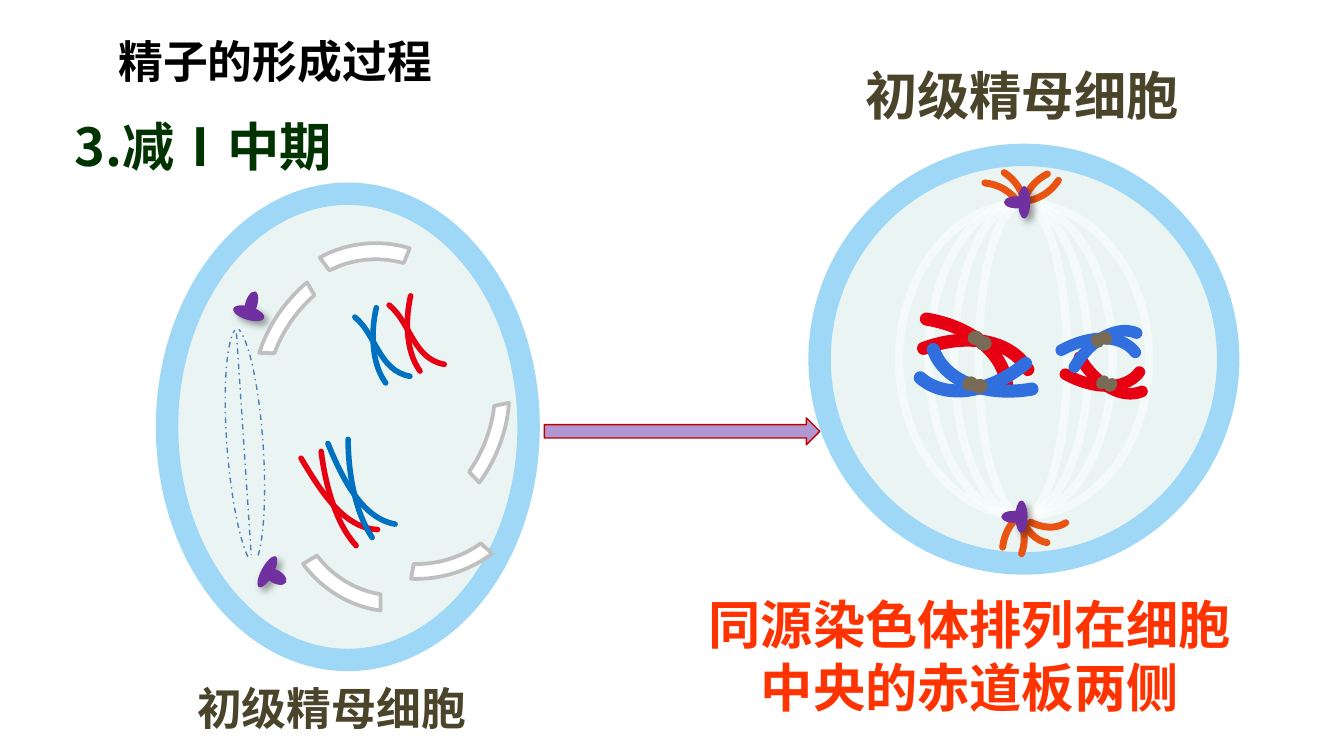
from dataclasses import dataclass

from lxml.etree import SubElement
from pptx import Presentation
from pptx.dml.color import RGBColor
from pptx.enum.dml import MSO_LINE
from pptx.enum.shapes import MSO_CONNECTOR, MSO_SHAPE
from pptx.enum.text import MSO_ANCHOR, PP_ALIGN
from pptx.oxml.ns import qn
from pptx.util import Pt

FONT = "Noto Sans CJK SC"
HEX = {
    "black": "000000", "green": "003300", "olive": "4A452A", "orange": "FF3300",
    "plasm": "EAF5F3", "rim": "9ED8F6", "white": "FFFFFF", "gray": "BFBFBF",
    "red": "E60012", "navy": "0070C0", "blue": "326FDE", "steel": "4B7EBC",
    "purple": "7030A0", "brown": "796A55", "aster": "EA5413",
    "lilac": "B197D2", "crimson": "C00000",
}
LONG = (173.63, 0)
SHORT = (165.26, 196.34)
THREAD = (110.96, 214.63)
BAND = (139.99, 175.17, 0.09)


@dataclass
class Box:
    x: float
    y: float
    w: float
    h: float
    turn: float = 0
    flip: str = ""


@dataclass
class Pen:
    color: str
    width: float
    round: bool = False
    dash: bool = False
    alpha: int = 100


@dataclass
class Label:
    text: str
    box: Box
    size: int
    color: str
    align: PP_ALIGN = PP_ALIGN.LEFT


@dataclass
class Pair:
    """One crossed chromosome: two arms and the dots where they meet."""
    pen: Pen
    arms: list[Box]
    dots: list[Box]


def rgb(name: str) -> RGBColor:
    return RGBColor.from_string(HEX[name])


def ink(shape, pen: Pen) -> None:
    line = shape.line
    line.color.rgb = rgb(pen.color)
    line.width = Pt(pen.width)
    if pen.dash:
        line.dash_style = MSO_LINE.DASH_DOT
    ln = line._get_or_add_ln()
    if pen.round:
        ln.set("cap", "rnd")
    if pen.alpha < 100:
        tint = ln.find(".//" + qn("a:srgbClr"))
        SubElement(tint, qn("a:alpha")).set("val", str(pen.alpha * 1000))


def draw(parent, kind: MSO_SHAPE, box: Box, fill: str = "", pen: Pen | None = None, adj: tuple = ()):
    shape = parent.shapes.add_shape(kind, Pt(box.x), Pt(box.y), Pt(box.w), Pt(box.h))
    shape.shadow.inherit = False
    shape.rotation = box.turn
    for axis in box.flip:
        shape.element.spPr.xfrm.set("flip" + axis, "1")
    for i, value in enumerate(adj):
        shape.adjustments[i] = value
    if fill:
        shape.fill.solid()
        shape.fill.fore_color.rgb = rgb(fill)
    else:
        shape.fill.background()
    if pen:
        ink(shape, pen)
    else:
        shape.line.fill.background()
    return shape


def curve(parent, pts: list[tuple], pen: Pen) -> None:
    """Draw a cubic curve through its four control points."""
    start, *rest = [(Pt(x), Pt(y)) for x, y in pts]
    form = parent.shapes.build_freeform(*start)
    form.add_line_segments(rest, close=False)
    shape = form.convert_to_shape()
    track = shape.element.find(".//" + qn("a:path"))
    lines = track.findall(qn("a:lnTo"))
    bend = SubElement(track, qn("a:cubicBezTo"))
    for line in lines:
        bend.append(line[0])
        track.remove(line)
    shape.shadow.inherit = False
    shape.fill.background()
    ink(shape, pen)


def centriole(parent, body: Box, side: Box) -> None:
    shape = draw(parent, MSO_SHAPE.OVAL, body, "purple")
    effects = shape.element.spPr.find(qn("a:effectLst"))
    shade = SubElement(effects, qn("a:outerShdw"), blurRad=str(Pt(4)), dist=str(Pt(3)), dir="2700000")
    tint = SubElement(shade, qn("a:srgbClr"), val=HEX["black"])
    SubElement(tint, qn("a:alpha"), val="40000")
    draw(parent, MSO_SHAPE.OVAL, side, "purple")


def write(shape, label: Label) -> None:
    box = label.box
    shape.left, shape.top, shape.width, shape.height = map(Pt, (box.x, box.y, box.w, box.h))
    frame = shape.text_frame
    frame.word_wrap = True
    frame.vertical_anchor = MSO_ANCHOR.TOP
    para = frame.paragraphs[0]
    para.text = label.text
    para.alignment = label.align
    para.line_spacing = Pt(label.size * 1.2)
    font = para.font
    font.size, font.bold, font.name = Pt(label.size), True, FONT
    font.color.rgb = rgb(label.color)
    SubElement(para._p.find(".//" + qn("a:defRPr")), qn("a:ea"), typeface=FONT)


def early(slide) -> None:
    """Cell on the left, before the chromosomes line up."""
    cell = slide.shapes.add_group_shape()
    draw(cell, MSO_SHAPE.OVAL, Box(89.5, 103.8, 193.7, 249.8), "plasm", Pen("rim", 12))
    small = [
        [(201.6, 164.9), (198.7, 177.1), (198.7, 194.4), (206.6, 205.2)],
        [(190.1, 169.9), (201.6, 179.3), (203, 198.7), (219.6, 201.6)],
    ]
    twin = [[(x + 18.4, y - 6.4) for x, y in arm] for arm in small]
    big_red = [
        [(202.3, 283.7), (184.3, 283), (172.1, 263.5), (161.3, 245.5)],
        [(172.1, 241.9), (174.2, 259.2), (180, 280.8), (190.8, 292.3)],
    ]
    big_blue = [
        [(211.7, 280.8), (194.4, 277.9), (183.6, 257), (175.7, 237.6)],
        [(186.5, 235.4), (186.5, 252.7), (190.1, 274.3), (199.4, 288)],
    ]
    for color, arms in (("navy", small), ("red", big_red), ("navy", big_blue), ("red", twin)):
        for arm in arms:
            curve(cell, arm, Pen(color, 3, round=True))
    centriole(cell, Box(133.9, 303.1, 18.7, 6.5, 298.7), Box(141.1, 305.3, 13, 7.2, 208.7))
    centriole(cell, Box(124.6, 164.2, 17.3, 7.2, 196.6, "H"), Box(127.4, 159.8, 14.4, 6.5, 286.6, "H"))

    thread = Pen("steel", 0.75, dash=True)
    for box in (Box(68.4, 228.2, 129.6, 23, 265.5), Box(64.8, 228.2, 129.6, 23, 86.3, "H")):
        draw(cell, MSO_SHAPE.ARC, box, pen=thread, adj=THREAD)
    axis = cell.shapes.add_connector(MSO_CONNECTOR.STRAIGHT, Pt(126.7), Pt(178.6), Pt(134.6), Pt(297.4))
    ink(axis, thread)
    SubElement(axis.element.spPr, qn("a:effectLst"))

    for box in (
        Box(146.2, 130.3, 110.2, 95.8), Box(126, 146.9, 121.7, 87.1, 308.4),
        Box(149, 229, 110.2, 95.8, 217), Box(164.9, 182.2, 121.7, 87.1, 114.7),
        Box(172.8, 221, 110.2, 88.6, 167.8),
    ):
        draw(cell, MSO_SHAPE.BLOCK_ARC, box, "white", Pen("gray", 2), BAND)


def middle(slide) -> None:
    """Cell on the right, with the chromosomes on the equator."""
    cell = slide.shapes.add_group_shape()
    draw(cell, MSO_SHAPE.OVAL, Box(439.1, 83, 218.9, 218.9), "plasm", Pen("rim", 12))
    for left, wide in ((481.7, 133.9), (497.5, 98.6), (511.2, 72), (524.2, 47.5)):
        draw(cell, MSO_SHAPE.OVAL, Box(left, 108.7, wide, 167.8), pen=Pen("white", 4.5, alpha=50))

    for pair in (
        Pair(Pen("red", 7, True),
             [Box(427, 169.9, 112.3, 77), Box(445.7, 187.2, 112.3, 77, 330.4)],
             [Box(518.4, 177.1, 8.6, 7.9), Box(522.7, 180, 8.6, 7.9)]),
        Pair(Pen("blue", 7, True),
             [Box(496.8, 130.3, 112.3, 77, 340.8, "HV"), Box(473.8, 121.7, 112.3, 77, 311.2, "HV")],
             [Box(520.6, 203, 8.6, 7.9, 340.8, "HV"), Box(515.5, 201.6, 8.6, 7.9, 340.8, "HV")]),
        Pair(Pen("red", 6.25, True),
             [Box(539.3, 149.8, 79.2, 51.1, 37.3, "V"), Box(558.7, 150.5, 76.3, 48.2, 66.9, "V")],
             [Box(591.8, 202.3, 6.5, 7.9, 37.3, "V"), Box(587.5, 200.9, 6.5, 7.9, 37.3, "V")]),
        Pair(Pen("blue", 6.25, True),
             [Box(537.1, 187.2, 79.2, 51.1, 322.7), Box(555.8, 189.4, 76.3, 48.2, 293.1)],
             [Box(589, 177.1, 6.5, 7.9, 322.7), Box(584.6, 178.6, 6.5, 7.9, 322.7)]),
    ):
        for box in pair.arms:
            draw(cell, MSO_SHAPE.ARC, box, pen=pair.pen, adj=LONG)
        for box in pair.dots:
            draw(cell, MSO_SHAPE.OVAL, box, "brown")

    for box in (
        Box(500.4, 97.9, 49.7, 49.7), Box(521.3, 58.3, 49.7, 49.7, 0, "V"),
        Box(499.7, 88.6, 49.7, 49.7, 27.3), Box(547.2, 90.7, 49.7, 49.7, 339.4, "H"),
        Box(545.8, 244.1, 34.6, 46.8, 0, "HV"), Box(537.1, 270.7, 49.7, 49.7, 332.7, "H"),
        Box(499, 263.5, 49.7, 49.7, 52.4), Box(539.3, 238.3, 34.6, 46.8, 316.5, "HV"),
    ):
        draw(cell, MSO_SHAPE.ARC, box, pen=Pen("aster", 3.75, True), adj=SHORT)
    for x, y in ((540, 105.1), (538.6, 273.6)):
        centriole(cell, Box(x, y, 17.3, 6.5, 90, "H"), Box(x - 2.2, y, 13, 6.5, 180, "H"))


def main() -> None:
    deck = Presentation()
    deck.slide_width, deck.slide_height = Pt(720), Pt(405)
    slide = deck.slides.add_slide(deck.slide_layouts[5])
    write(slide.shapes.title, Label("精子的形成过程", Box(56.2, 14.4, 213.1, 36), 24, "black"))
    early(slide)
    middle(slide)
    for label in (
        Label("3.减Ⅰ中期", Box(33.1, 57.6, 168.5, 41), 28, "green"),
        Label("初级精母细胞", Box(98.6, 361.4, 184.3, 36), 24, "olive"),
        Label("同源染色体排列在细胞中央的赤道板两侧", Box(360.7, 313.9, 317.5, 74.9), 28, "orange", PP_ALIGN.CENTER),
        Label("初级精母细胞", Box(456.5, 30.2, 184.3, 41), 28, "olive"),
    ):
        write(slide.shapes.add_textbox(0, 0, 0, 0), label)
    draw(slide, MSO_SHAPE.RIGHT_ARROW, Box(291.6, 223.9, 147.6, 14.4), "lilac", Pen("crimson", 0.75))
    deck.save("out.pptx")


if __name__ == "__main__":
    main()
